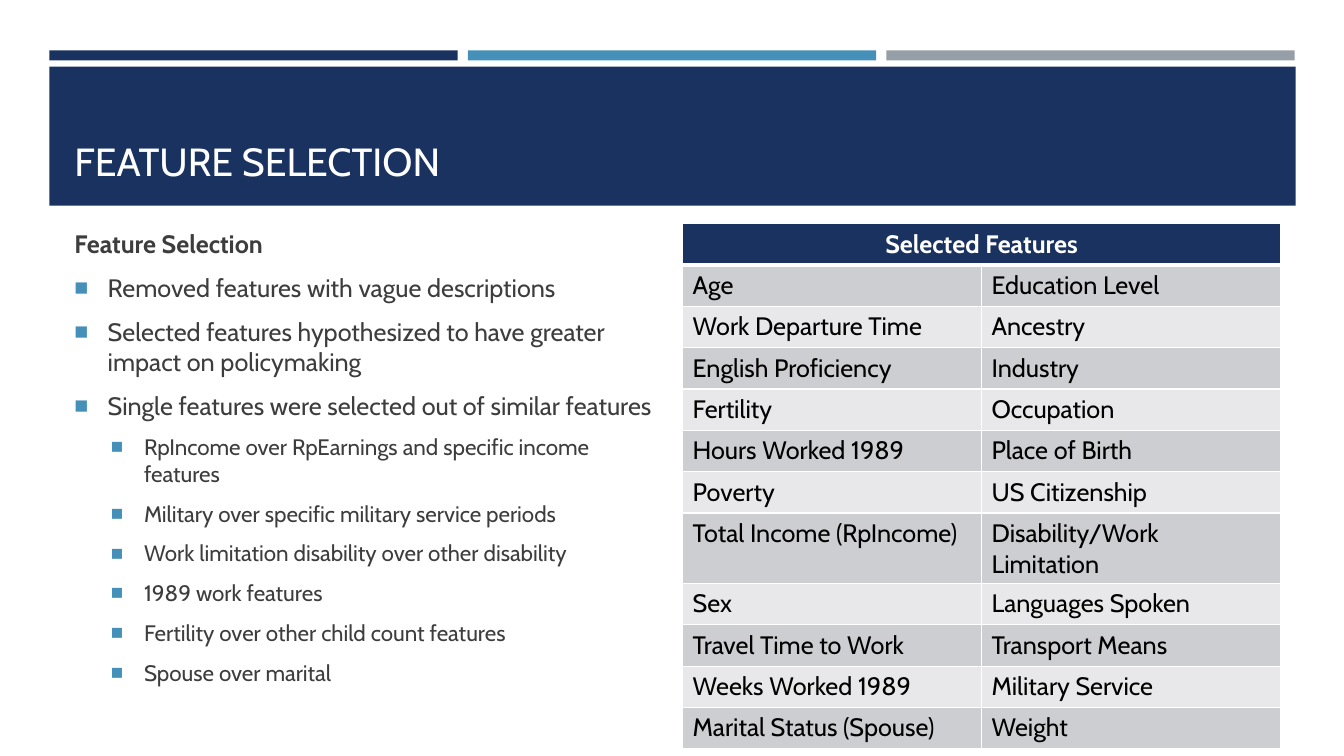
"""Build the Feature Selection slide with a bullet list and a table of features."""
import pptx
import pptx.dml.color
import pptx.enum.shapes
import pptx.enum.text
import pptx.oxml
import pptx.oxml.ns
import pptx.util

Inches, Pt = pptx.util.Inches, pptx.util.Pt
RGBColor = pptx.dml.color.RGBColor
PP_ALIGN, MSO_ANCHOR = pptx.enum.text.PP_ALIGN, pptx.enum.text.MSO_ANCHOR

TITLE = "FEATURE SELECTION"
LIST_HEADING = "Feature Selection"
BULLETS = [
    (0, "Removed features with vague descriptions"),
    (0, "Selected features hypothesized to have greater impact on policymaking"),
    (0, "Single features were selected out of similar features"),
    (1, "RpIncome over RpEarnings and specific income features"),
    (1, "Military over specific military service periods"),
    (1, "Work limitation disability over other disability"),
    (1, "1989 work features"),
    (1, "Fertility over other child count features"),
    (1, "Spouse over marital"),
]
TABLE_HEADING = "Selected Features"
FEATURES = [
    ("Age", "Education Level"),
    ("Work Departure Time", "Ancestry"),
    ("English Proficiency", "Industry"),
    ("Fertility", "Occupation"),
    ("Hours Worked 1989", "Place of Birth"),
    ("Poverty", "US Citizenship"),
    ("Total Income (RpIncome)", "Disability/Work Limitation"),
    ("Sex", "Languages Spoken"),
    ("Travel Time to Work", "Transport Means"),
    ("Weeks Worked 1989", "Military Service"),
    ("Marital Status (Spouse)", "Weight"),
]

FONT = "Cabin"
NAVY = RGBColor(0x1A, 0x32, 0x60)
BLUE = RGBColor(0x45, 0x90, 0xB8)
GRAY = RGBColor(0x96, 0x9F, 0xA7)
DARK = RGBColor(0x3D, 0x3D, 0x3D)
BLACK = RGBColor(0, 0, 0)
WHITE = RGBColor(0xFF, 0xFF, 0xFF)
BANDS = [RGBColor(0xCD, 0xCE, 0xD2), RGBColor(0xE8, 0xE8, 0xEA)]

LEFT, BAR_W, BAR_STEP = 0.49, 4.05, 4.15
TEXT_LEFT, TABLE_LEFT, BODY_TOP = 0.64, 6.77, 2.22
COLUMN_W, BODY_H = 5.93, 4.87
ROW_H = 0.41


def add_bar(slide, x, y, w, h, color):
    sp = slide.shapes.add_shape(pptx.enum.shapes.MSO_SHAPE.RECTANGLE,
                                Inches(x), Inches(y), Inches(w), Inches(h))
    sp.shadow.inherit = False
    sp.fill.solid()
    sp.fill.fore_color.rgb = color
    sp.line.fill.background()


def add_text_frame(slide, x, y, w, h, anchor):
    sp = slide.shapes.add_textbox(Inches(x), Inches(y), Inches(w), Inches(h))
    tf = sp.text_frame
    tf.word_wrap = True
    tf.vertical_anchor = anchor
    return tf


def write(p, text, size, color, bold=False):
    p.text = text
    p.font.name = FONT
    p.font.size = Pt(size)
    p.font.bold = bold
    p.font.color.rgb = color


def add_bullet(p, level):
    pPr = p._p.get_or_add_pPr()
    pPr.set("marL", str(Inches(0.33 + 0.36 * level)))
    pPr.set("indent", str(Inches(-0.33)))
    ns = pptx.oxml.ns.nsdecls("a")
    marks = [f'<a:buClr {ns}><a:srgbClr val="{BLUE}"/></a:buClr>',
             f'<a:buSzPct {ns} val="92000"/>',
             f'<a:buFont {ns} typeface="Arial"/>',
             f'<a:buChar {ns} char="■"/>']
    for i, xml in enumerate(marks):
        pPr.insert(i, pptx.oxml.parse_xml(xml))


def fill_cell(cell, text, fill, color, bold=False, bottom=1):
    tcPr = cell._tc.get_or_add_tcPr()
    for side, width in (("L", 1), ("R", 1), ("T", 1), ("B", bottom)):
        tcPr.append(pptx.oxml.parse_xml(
            f'<a:ln{side} {pptx.oxml.ns.nsdecls("a")} w="{Pt(width)}"><a:solidFill>'
            f'<a:srgbClr val="{WHITE}"/></a:solidFill></a:ln{side}>'))
    cell.fill.solid()
    cell.fill.fore_color.rgb = fill
    write(cell.text_frame.paragraphs[0], text, 18, color, bold)


def add_list(slide):
    tf = add_text_frame(slide, TEXT_LEFT, BODY_TOP, COLUMN_W, BODY_H, MSO_ANCHOR.TOP)
    write(tf.paragraphs[0], LIST_HEADING, 18, DARK, True)
    for level, text in BULLETS:
        p = tf.add_paragraph()
        p.level = level
        write(p, text, 18 - 2 * level, DARK)
    for p in tf.paragraphs:
        p.space_before = Pt(p.font.size.pt * 0.2)
        p.space_after = Pt(6)
    for p, (level, text) in zip(tf.paragraphs[1:], BULLETS):
        add_bullet(p, level)


def add_feature_table(slide):
    rows = len(FEATURES) + 1
    table = slide.shapes.add_table(rows, 2, Inches(TABLE_LEFT), Inches(BODY_TOP),
                                   Inches(COLUMN_W), Inches(ROW_H * rows)).table
    header = table.cell(0, 0)
    header.merge(table.cell(0, 1))
    fill_cell(header, TABLE_HEADING, NAVY, WHITE, True, 3)
    header.text_frame.paragraphs[0].alignment = PP_ALIGN.CENTER
    for r, features in enumerate(FEATURES):
        for c, text in enumerate(features):
            fill_cell(table.cell(r + 1, c), text, BANDS[r % 2], BLACK)


def main():
    prs = pptx.Presentation()
    prs.slide_width, prs.slide_height = Inches(13.33), Inches(7.5)
    slide = prs.slides.add_slide(prs.slide_layouts[6])
    for i, color in enumerate((NAVY, BLUE, GRAY)):
        add_bar(slide, LEFT + i * BAR_STEP, 0.5, BAR_W, 0.1, color)
    add_bar(slide, LEFT, 0.66, 12.36, 1.38, NAVY)
    tf = add_text_frame(slide, TEXT_LEFT, 0.8, 12.06, 1.08, MSO_ANCHOR.BOTTOM)
    write(tf.paragraphs[0], TITLE, 28, WHITE)
    add_list(slide)
    add_feature_table(slide)
    prs.save("out.pptx")


if __name__ == "__main__":
    main()
